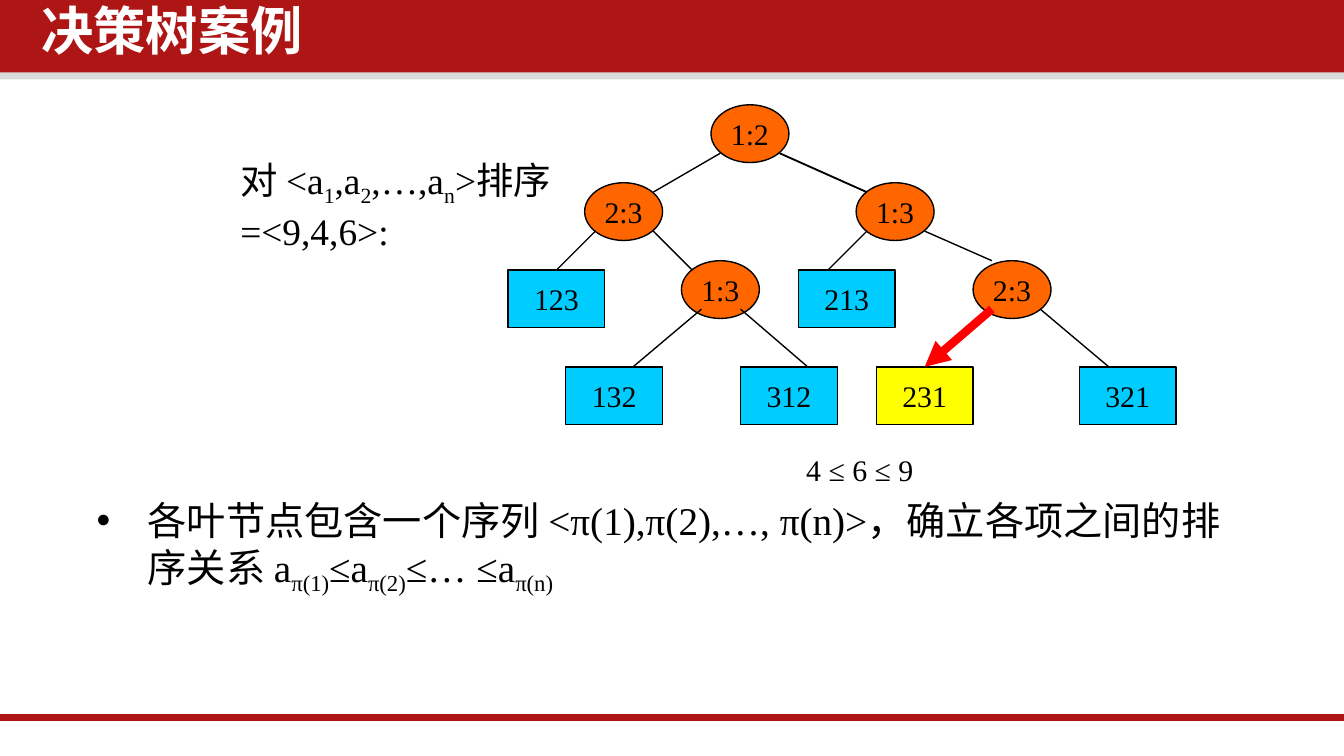
"""Build a slide showing a decision tree for sorting three items."""
from pptx import Presentation
from pptx.dml.color import RGBColor
from pptx.enum.shapes import MSO_CONNECTOR, MSO_SHAPE
from pptx.enum.text import MSO_ANCHOR, PP_ALIGN
from pptx.oxml.ns import qn
from pptx.util import Inches, Pt
from lxml import etree

RECTANGLE, OVAL = MSO_SHAPE.RECTANGLE, MSO_SHAPE.OVAL
STRAIGHT = MSO_CONNECTOR.STRAIGHT
MIDDLE, CENTER = MSO_ANCHOR.MIDDLE, PP_ALIGN.CENTER
CRIMSON = RGBColor(0xAE, 0x16, 0x16)
GRAY = RGBColor(0xD9, 0xD9, 0xD9)
ORANGE = RGBColor(0xFF, 0x66, 0x00)
CYAN = RGBColor(0x00, 0xCC, 0xFF)
YELLOW = RGBColor(0xFF, 0xFF, 0x00)
RED = RGBColor(0xFF, 0x00, 0x00)
BLACK = RGBColor(0x00, 0x00, 0x00)
WHITE = RGBColor(0xFF, 0xFF, 0xFF)
SERIF, SANS = "Times New Roman", "Noto Sans CJK SC"


def write(paragraph, parts, size, color=BLACK, font=SERIF, bold=False):
    """Write parts as runs, every second one a subscript."""
    for index, part in enumerate(parts):
        run = paragraph.add_run()
        run.text = part
        run.font.size = Pt(size)
        run.font.bold = bold
        run.font.color.rgb = color
        run.font.name = font
        properties = run.font._element
        etree.SubElement(properties, qn("a:ea"), typeface=SANS)
        if index % 2:
            properties.set("baseline", "-25000")


def connect(start, end, color=BLACK, width=0.75):
    """Draw a straight line between two points."""
    line = slide.shapes.add_connector(STRAIGHT, *map(Inches, start + end))
    line.line.color.rgb = color
    line.line.width = Pt(width)
    etree.SubElement(line._element.spPr, qn("a:effectLst"))
    return line


prs = Presentation()
prs.slide_width = Inches(10)
prs.slide_height = Inches(10 * 9 / 16)
slide = prs.slides.add_slide(prs.slide_layouts[6])

for top, height, color in [(0.5, 0.09, GRAY), (0, 0.54, CRIMSON)]:
    band = slide.shapes.add_shape(RECTANGLE, 0, Inches(top), prs.slide_width, Inches(height))
    band.shadow.inherit = False
    band.fill.solid()
    band.fill.fore_color.rgb = color
    band.line.fill.background()
connect((-0.02, 5.34), (10, 5.34), CRIMSON, 4)

rule = slide.shapes.add_textbox(Inches(0.62), Inches(3.68), Inches(8.62), Inches(0.92)).text_frame
rule.word_wrap = True
statement = rule.paragraphs[0]
statement.line_spacing = 0.9
write(statement, ["各叶节点包含一个序列 <π(1),π(2),…, π(n)>，确立各项之间的排序关系 a",
                  "π(1)", "≤a", "π(2)", "≤… ≤a", "π(n)"], 21)
indent = statement._p.get_or_add_pPr()
indent.set("marL", str(Inches(0.38)))
indent.set("indent", str(Inches(-0.38)))
etree.SubElement(indent, qn("a:buFont"), typeface="Arial")
etree.SubElement(indent, qn("a:buChar"), char="•")

comparisons = [("1:2", 5.29, 0.78), ("2:3", 4.35, 1.36), ("1:3", 6.37, 1.36),
               ("1:3", 5.07, 1.94), ("2:3", 7.24, 1.94)]
leaves = [("123", 3.78, 2.01), ("213", 5.94, 2.01), ("132", 4.21, 2.73),
          ("312", 5.51, 2.73), ("231", 6.52, 2.73), ("321", 8.03, 2.73)]
leaf_shapes = {}
for label, left, top in comparisons + leaves:
    is_leaf = (label, left, top) in leaves
    node = slide.shapes.add_shape(RECTANGLE if is_leaf else OVAL, Inches(left), Inches(top),
                                  Inches(0.72 if is_leaf else 0.58), Inches(0.43))
    node.shadow.inherit = False
    node.fill.solid()
    node.fill.fore_color.rgb = YELLOW if label == "231" else CYAN if is_leaf else ORANGE
    node.line.color.rgb = BLACK
    node.line.width = Pt(0.75)
    node.text_frame.word_wrap = False
    node.text_frame.vertical_anchor = MIDDLE
    node.text_frame.paragraphs[0].alignment = CENTER
    write(node.text_frame.paragraphs[0], [label], 16)
    if is_leaf:
        leaf_shapes[label] = node

branches = [((5.36, 1.14), (4.86, 1.43)), ((4.86, 1.72), (5.15, 2.01)),
            ((5.22, 2.3), (4.71, 2.73)), ((5.51, 2.3), (6.01, 2.73)),
            ((7.74, 2.3), (8.25, 2.73)), ((6.88, 1.72), (7.38, 1.94)),
            ((6.45, 1.72), (6.16, 2.01))]
for start, end in branches:
    connect(start, end)
connect((5.8, 1.14), (6.45, 1.43), width=1)
connect((4.43, 1.72), (4.14, 2.01)).end_connect(leaf_shapes["123"], 0)
chosen_branch = connect((7.38, 2.3), (6.88, 2.73), RED, 4.5)
chosen_branch.end_connect(leaf_shapes["231"], 0)
etree.SubElement(chosen_branch.line._get_or_add_ln(), qn("a:tailEnd"), type="triangle")

task = slide.shapes.add_textbox(Inches(1.69), Inches(1.12), Inches(2.57), Inches(0.77)).text_frame
task.word_wrap = True
write(task.paragraphs[0], ["对 <a", "1", ",a", "2", ",…,a", "n", ">排序"], 20)
write(task.add_paragraph(), ["=<9,4,6>:"], 20)

result = slide.shapes.add_textbox(Inches(5.9), Inches(3.31), Inches(1.01), Inches(0.37)).text_frame
result.word_wrap = False
write(result.paragraphs[0], ["4 ≤ 6 ≤ 9"], 16)

title = slide.shapes.add_textbox(Inches(0.24), 0, Inches(7.64), Inches(0.59)).text_frame
title.word_wrap = True
title.margin_left = title.margin_right = Inches(0.07)
title.margin_top = title.margin_bottom = Inches(0.04)
title.paragraphs[0].line_spacing = 0.9
write(title.paragraphs[0], ["决策树案例"], 28, WHITE, SANS, True)

prs.save("out.pptx")
